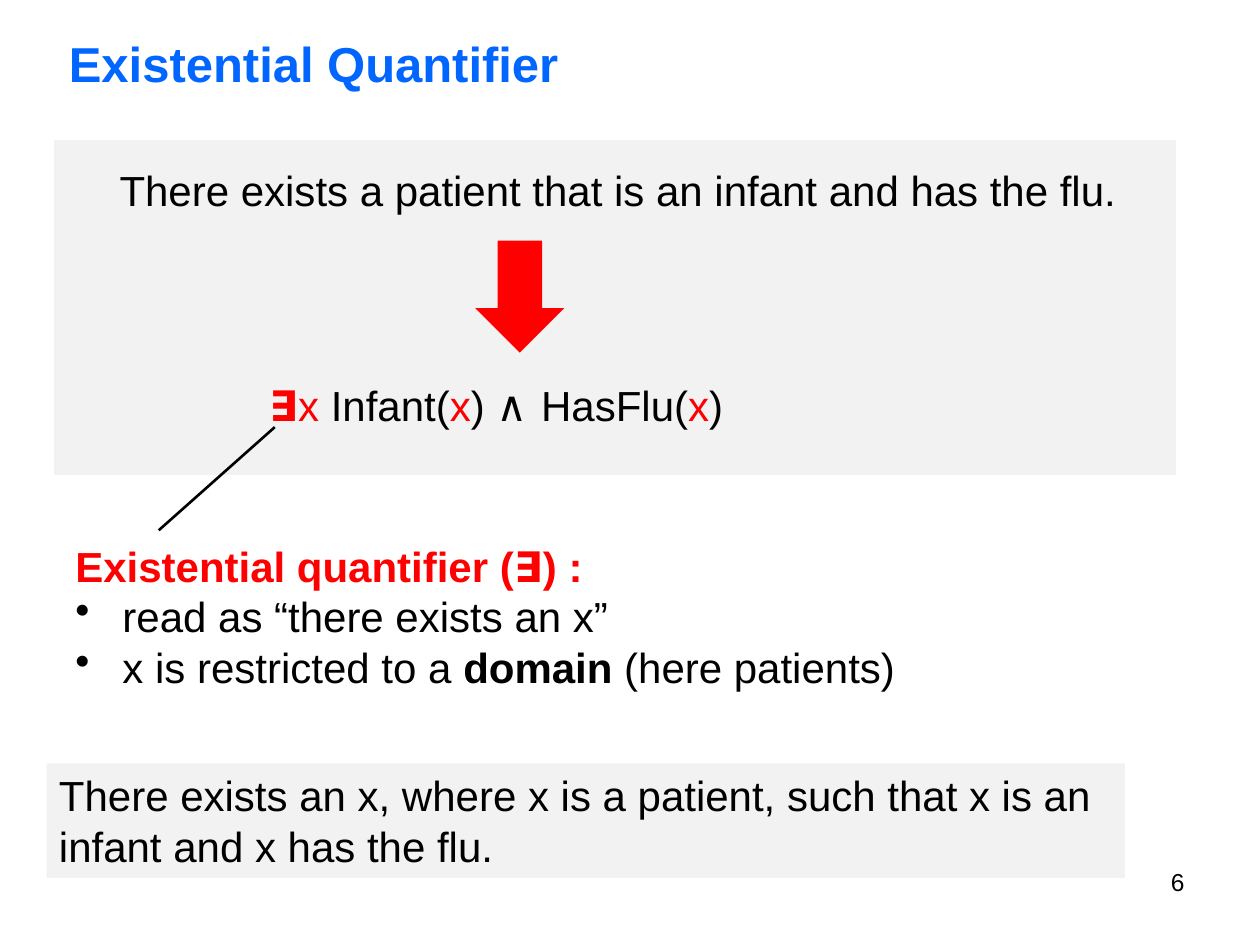
from lxml import etree
from pptx import Presentation
from pptx import util as u
from pptx.dml.color import RGBColor
from pptx.enum import shapes, text
from pptx.oxml.ns import qn

BLACK = RGBColor(0, 0, 0)
WHITE = RGBColor(255, 255, 255)
RED = RGBColor(255, 0, 0)
BLUE = RGBColor(0, 0x66, 255)
GREY = RGBColor(0xF2, 0xF2, 0xF2)
FONT = "Arial"
SYMBOL_FONT = "Comic Neue"
HANG = u.Cm(0.95)


class Deck:
    def __init__(self):
        self.prs = Presentation()
        self.prs.slide_width = u.Cm(25.4)
        self.prs.slide_height = u.Cm(19.05)
        self.s = self.prs.slides.add_slide(self.prs.slide_layouts[6])

    def shape(self, kind, box, fill, line=None):
        sp = self.s.shapes.add_shape(kind, *map(u.Cm, box))
        sp.shadow.inherit = False
        sp.fill.solid()
        sp.fill.fore_color.rgb = fill
        if line is None:
            sp.line.fill.background()
        else:
            sp.line.color.rgb = line
            sp.line.width = u.Pt(1.5)

    def textbox(self, box, *paras, wrap=False, anchor=text.MSO_ANCHOR.TOP, fill=None):
        sp = self.s.shapes.add_textbox(*map(u.Cm, box))
        if fill is not None:
            sp.fill.solid()
            sp.fill.fore_color.rgb = fill
        tf = sp.text_frame
        tf.word_wrap = wrap
        tf.vertical_anchor = anchor
        for i, para in enumerate(paras):
            self.para(tf.add_paragraph() if i else tf.paragraphs[0], **para)

    def para(self, p, runs, size=24, color=BLACK, bold=False, align=text.PP_ALIGN.LEFT, bullet=False):
        p.alignment = align
        self.font(p.font, FONT, size, color, bold)
        if bullet:
            pPr = p._p.get_or_add_pPr()
            pPr.set("marL", str(HANG))
            pPr.set("indent", str(-HANG))
            bu = etree.Element(qn("a:buChar"), char="•")
            pPr.insert(0, bu)
        for run in runs:
            content, style = (run, {}) if isinstance(run, str) else run
            for i, line in enumerate(content.split("\n")):
                if i:
                    p.add_line_break()
                r = p.add_run()
                r.text = line
                look = {"name": FONT, "size": size, "color": color, "bold": bold, **style}
                self.font(r.font, **look)

    def font(self, f, name, size, color, bold):
        f.name = name
        f.size = u.Pt(size)
        f.color.rgb = color
        f.bold = bold

    def line(self, start, end):
        c = self.s.shapes.add_connector(
            shapes.MSO_CONNECTOR.STRAIGHT, *map(u.Cm, start + end))
        c.line.color.rgb = BLACK
        c.line.width = u.Pt(1.5)
        etree.SubElement(c._element.spPr, qn("a:effectLst"))


def main():
    d = Deck()
    red = {"color": RED}
    symbol = {"name": SYMBOL_FONT}
    d.shape(shapes.MSO_SHAPE.RECTANGLE, (1.07, 2.79, 22.66, 6.81), GREY, WHITE)
    d.textbox((18.21, 17.35, 5.92, 1.32),
              {"runs": ["6"], "size": 14, "align": text.PP_ALIGN.RIGHT}, wrap=True)
    d.textbox((1.14, 0.41, 23.67, 1.73),
              {"runs": ["Existential Quantifier"], "size": 28, "color": BLUE, "bold": True},
              wrap=True, anchor=text.MSO_ANCHOR.MIDDLE)
    d.textbox((2.16, 3.2, 21.03, 1.27),
              {"runs": ["There exists a patient that is an infant and has the flu."]})
    d.shape(shapes.MSO_SHAPE.DOWN_ARROW, (9.58, 4.85, 1.8, 2.26), RED)
    d.textbox((5.18, 7.52, 9.75, 1.27),
              {"runs": [("∃", {**symbol, **red, "bold": True}), ("x ", red), "Infant(", ("x", red),
                        ") ", ("∧ ", symbol), "HasFlu(", ("x", red), ")"]})
    d.line((5.54, 8.61), (3.2, 10.69))
    d.textbox((1.27, 10.77, 17.2, 4.37),
              {"runs": ["Existential quantifier (", ("∃", symbol), ") :"], "color": RED, "bold": True},
              {"runs": ["read as “there exists an x”"], "bullet": True},
              {"runs": ["x is restricted to a ", ("domain", {"bold": True}), " (here patients)"],
               "bullet": True})
    d.textbox((0.94, 15.39, 21.74, 2.31),
              {"runs": ["There exists an x, where x is a patient, such that x is an \n"
                        "infant and x has the flu."]}, fill=GREY)
    d.prs.save("out.pptx")


if __name__ == "__main__":
    main()
